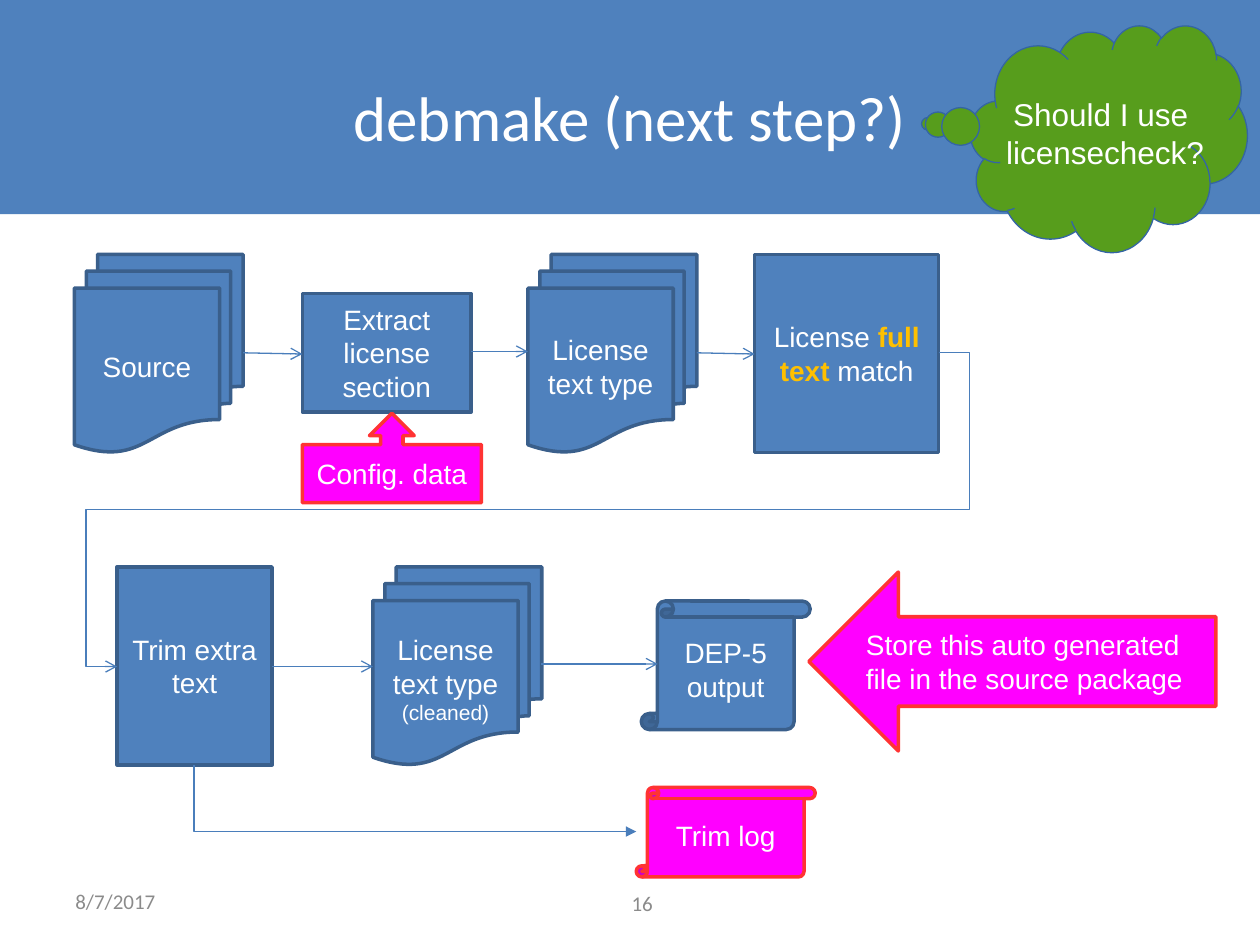
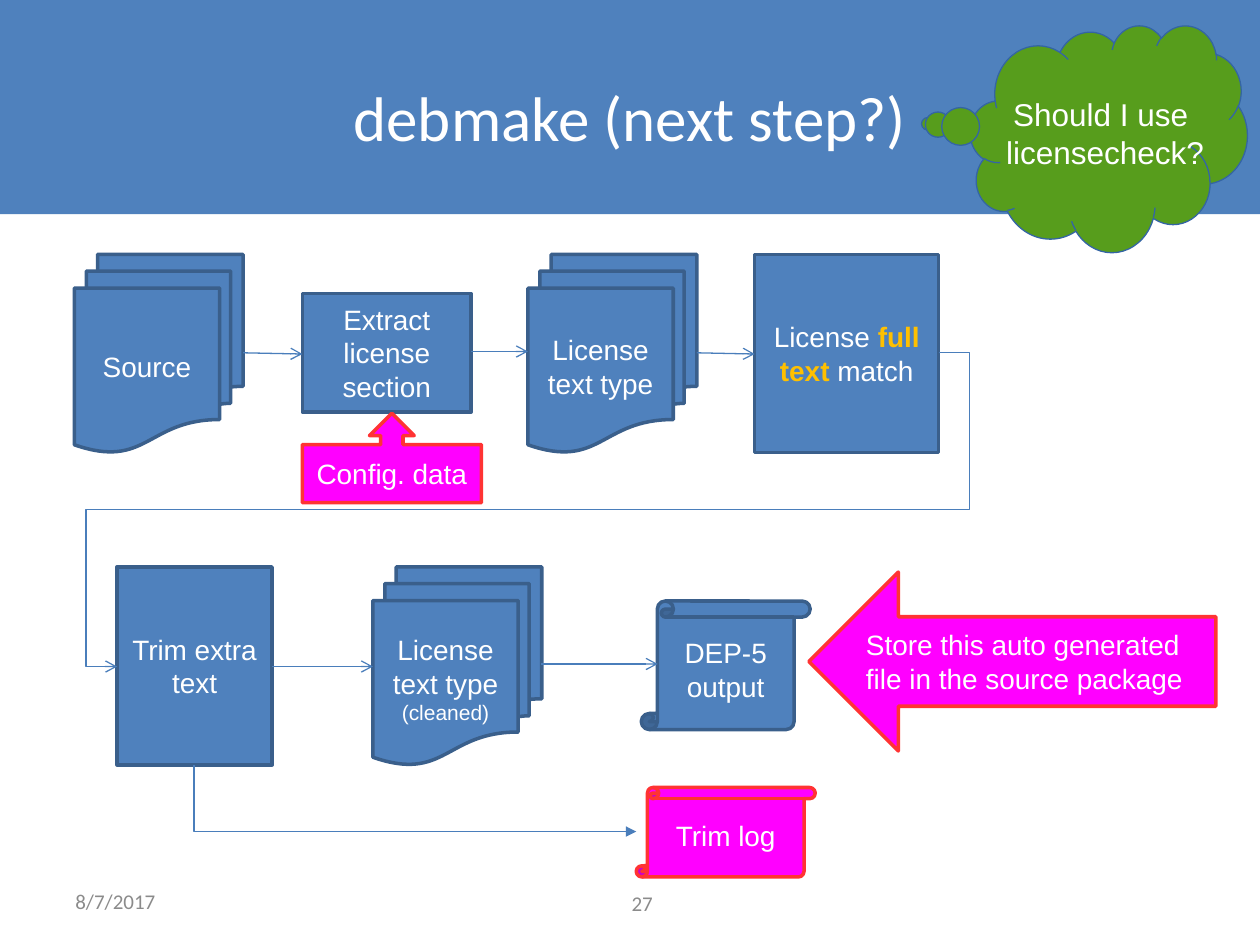
from lxml.etree import SubElement
from pptx import Presentation
from pptx.dml.color import RGBColor
from pptx.enum.shapes import MSO_CONNECTOR as Connector, MSO_SHAPE as Preset
from pptx.enum.text import MSO_ANCHOR as Anchor, PP_ALIGN as Align
from pptx.oxml.ns import qn
from pptx.util import Pt

EMU_PER_PX = 9144  # 100 px to the inch
COLORS = {
    "blue": "4F81BD",
    "blue_edge": "3A5F8B",
    "connector": "4A7EBB",
    "magenta": "FF00FF",
    "red_edge": "FF3333",
    "green": "579D1C",
    "green_edge": "3465A4",
    "amber": "FFC000",
    "gray": "8B8B8B",
    "white": "FFFFFF",
}
STEP = ("blue", "blue_edge", 2)
NEW_STEP = ("magenta", "red_edge", 2)
CLOUD = ("green", "green_edge", 0)

TOP_ROW, BOTTOM_ROW, ROW_HEIGHT = 202, 450, 157
STEP_WIDTH = 134
EXTRACT_LEFT = 240


def px(length):
    return round(length * EMU_PER_PX)


def color(name):
    return RGBColor.from_string(COLORS[name])


class SlideBuilder:
    def __init__(self, presentation):
        self.presentation = presentation
        self.slide = None

    def start_slide(self, title, date, number):
        """Add a blank slide with the shared band, title and footer."""
        layout = self.presentation.slide_layouts[6]
        self.slide = self.presentation.slides.add_slide(layout)
        self.shape(Preset.RECTANGLE, (0, 0, 1000, 170), ("blue", None, 0))
        self.label((50, 30, 900, 125), title, 36, "white", Align.CENTER)
        self.label((50, 695, 233, 40), date, 12, "gray", Align.LEFT)
        self.label((295, 697, 233, 40), number, 12, "gray", Align.RIGHT)

    def fill_text(self, frame, paragraphs, size, ink="white", font="Arial", align=Align.CENTER):
        """Fill a frame; a paragraph is a list of (text, changes) runs."""
        frame.word_wrap = True
        frame.vertical_anchor = Anchor.MIDDLE
        for index, runs in enumerate(paragraphs):
            paragraph = frame.add_paragraph() if index else frame.paragraphs[0]
            paragraph.alignment = align
            for text, changes in runs:
                run = paragraph.add_run()
                run.text = text
                run.font.name = font
                run.font.size = Pt(changes.get("size", size))
                run.font.bold = changes.get("bold", False)
                run.font.color.rgb = color(changes.get("ink", ink))

    def label(self, box, text, size, ink, align):
        text_box = self.slide.shapes.add_textbox(*map(px, box))
        self.fill_text(text_box.text_frame, [[(text, {})]], size, ink, "Calibri", align)

    def shape(self, preset, box, style, paragraphs=(), size=16, align=Align.CENTER):
        fill, edge, width = style
        shape = self.slide.shapes.add_shape(preset, *map(px, box))
        shape.shadow.inherit = False
        shape.fill.solid()
        shape.fill.fore_color.rgb = color(fill)
        if edge:
            shape.line.color.rgb = color(edge)
            shape.line.width = Pt(width)
        else:
            shape.line.fill.background()
        self.fill_text(shape.text_frame, paragraphs, size, align=align)
        return shape

    def thought_cloud(self, box, lines):
        cloud = self.shape(Preset.CLOUD_CALLOUT, box, CLOUD, [[(line, {})] for line in lines], 18)
        cloud.adjustments[0], cloud.adjustments[1] = -0.653, -0.065
        cloud.text_frame.word_wrap = False
        for paragraph in cloud.text_frame.paragraphs:
            properties = paragraph._p.get_or_add_pPr()
            properties.set("marL", str(px(10)))
            properties.set("indent", "0")

    def arrow(self, start, end, head="arrow", kind=Connector.STRAIGHT):
        connector = self.slide.shapes.add_connector(kind, *map(px, start + end))
        connector.line.color.rgb = color("connector")
        connector.line.width = Pt(0.75)
        properties = connector._element.spPr
        SubElement(properties.find(qn("a:ln")), qn("a:tailEnd"), type=head)
        SubElement(properties, qn("a:effectLst"))
        return connector

    def bent_arrow(self, start, end, preset, bends=(), head="arrow", turn=0):
        """Draw a bent connector; bends are fractions, turn is in degrees."""
        connector = self.arrow(start, end, head, Connector.ELBOW)
        properties = connector._element.spPr
        geometry = properties.find(qn("a:prstGeom"))
        geometry.set("prst", preset)
        guides = geometry.find(qn("a:avLst"))
        if guides is None:
            guides = SubElement(geometry, qn("a:avLst"))
        for index, bend in enumerate(bends, 1):
            SubElement(guides, qn("a:gd"), name=f"adj{index}", fmla=f"val {round(bend * 100000)}")
        if turn:
            properties.find(qn("a:xfrm")).set("rot", str(turn * 60000))


def add_flow(builder):
    license_type = [("License text type", {})]
    full_text_match = [
        ("License ", {}),
        ("full text ", {"ink": "amber", "bold": True}),
        ("match", {}),
    ]
    steps = [
        (Preset.FLOWCHART_MULTIDOCUMENT, (59, TOP_ROW, STEP_WIDTH, ROW_HEIGHT),
         STEP, [[("Source", {})]]),
        (Preset.FLOWCHART_PROCESS, (EXTRACT_LEFT, 233, STEP_WIDTH, 94),
         STEP, [[("Extract license section", {})]]),
        (Preset.FLOWCHART_MULTIDOCUMENT, (419, TOP_ROW, STEP_WIDTH, ROW_HEIGHT),
         STEP, [license_type]),
        (Preset.FLOWCHART_PROCESS, (599, TOP_ROW, 146, ROW_HEIGHT),
         STEP, [full_text_match]),
        (Preset.FLOWCHART_PROCESS, (93, BOTTOM_ROW, 123, ROW_HEIGHT),
         STEP, [[("Trim extra text", {})]]),
        (Preset.FLOWCHART_MULTIDOCUMENT, (296, BOTTOM_ROW, STEP_WIDTH, ROW_HEIGHT),
         STEP, [license_type, [("(cleaned)", {"size": 12})]]),
        (Preset.VERTICAL_SCROLL, (509, 477, STEP_WIDTH, 102),
         STEP, [[("DEP-5 output", {})]]),
        (Preset.VERTICAL_SCROLL, (505, 625, 142, 71),
         NEW_STEP, [[("Trim log", {})]]),
        (Preset.UP_ARROW_CALLOUT, (EXTRACT_LEFT, 328, 142, 71),
         NEW_STEP, [[("Config. data", {})]]),
    ]
    for step in steps:
        builder.shape(*step)
    store_note = [[("Store this auto generated file in the source package", {})]]
    builder.shape(Preset.LEFT_ARROW, (642, 454, 323, 142), NEW_STEP, store_note, align=Align.LEFT)

    for start, end in [
        ((193, 280), (240, 281)),
        ((374, 279), (419, 279)),
        ((553, 280), (599, 281)),
        ((216, 529), (296, 529)),
        ((429, 527), (522, 527)),
    ]:
        builder.arrow(start, end)
    builder.bent_arrow((745, 280), (93, 529), "bentConnector5", (-0.038, 0.5, 1.038))
    builder.bent_arrow((356, 458), (303, 809), "bentConnector2", head="triangle", turn=270)


def main():
    presentation = Presentation()
    presentation.slide_width, presentation.slide_height = px(1000), px(750)
    builder = SlideBuilder(presentation)
    for number in ("16", "27"):
        builder.start_slide("debmake (next step?)", "8/7/2017", number)
        add_flow(builder)
        builder.thought_cloud((770, 20, 220, 180), ("Should I use ", "licensecheck?"))
    presentation.save("out.pptx")


if __name__ == "__main__":
    main()
